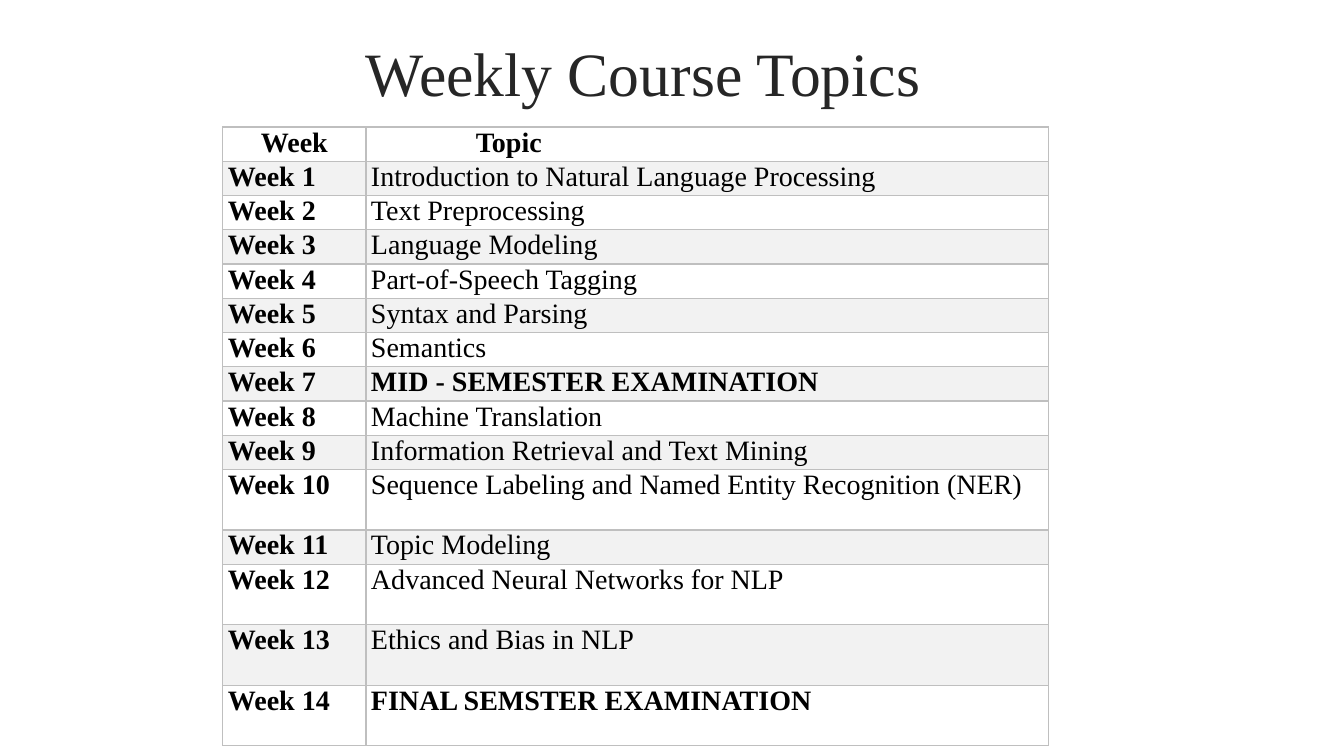
from lxml import etree
from pptx import Presentation
from pptx.dml.color import RGBColor
from pptx.enum import text
from pptx.oxml import ns
from pptx.util import Inches, Pt

FONT = "Times New Roman"
TITLE_COLOR = RGBColor(0x26, 0x26, 0x26)
BLACK = RGBColor(0, 0, 0)
BAND = RGBColor(0xF2, 0xF2, 0xF2)
BORDER = RGBColor(0xBF, 0xBF, 0xBF)

TOPICS = [
    "Introduction to Natural Language Processing",
    "Text Preprocessing",
    "Language Modeling",
    "Part-of-Speech Tagging",
    "Syntax and Parsing",
    "Semantics",
    "MID - SEMESTER EXAMINATION",
    "Machine Translation",
    "Information Retrieval and Text Mining",
    "Sequence Labeling and Named Entity Recognition (NER)",
    "Topic Modeling",
    "Advanced Neural Networks for NLP",
    "Ethics and Bias in NLP",
    "FINAL SEMSTER EXAMINATION",
]
TALL_WEEKS = {10, 12, 13, 14}


def format_text(paragraph, size, color, bold=False):
    for run in paragraph.runs:
        run.font.name = FONT
        run.font.size = Pt(size)
        run.font.bold = bold
        run.font.color.rgb = color


def add_title(slide, wording):
    title = slide.shapes.title
    title.left, title.top = Inches(1.13), Inches(0)
    title.width, title.height = Inches(10.5), Inches(1.43)
    title.text_frame.text = wording
    title.text_frame.vertical_anchor = text.MSO_ANCHOR.MIDDLE
    heading = title.text_frame.paragraphs[0]
    heading.alignment = text.PP_ALIGN.CENTER
    format_text(heading, 44, TITLE_COLOR)


def set_borders(cell):
    properties = cell._tc.get_or_add_tcPr()
    for position, side in enumerate(("lnL", "lnR", "lnT", "lnB")):
        line = etree.Element(ns.qn(f"a:{side}"), w=str(Pt(1)))
        fill = etree.SubElement(line, ns.qn("a:solidFill"))
        etree.SubElement(fill, ns.qn("a:srgbClr"), val=str(BORDER))
        properties.insert(position, line)


def fill_cell(cell, wording, bold, banded):
    cell.margin_left = cell.margin_right = Inches(0.05)
    cell.margin_top = cell.margin_bottom = 0
    cell.text_frame.text = wording
    format_text(cell.text_frame.paragraphs[0], 20, BLACK, bold)
    if banded:
        cell.fill.solid()
        cell.fill.fore_color.rgb = BAND
    else:
        cell.fill.background()
    set_borders(cell)


def add_schedule(slide):
    frame = slide.shapes.add_table(len(TOPICS) + 1, 2, Inches(2.21),
                                   Inches(1.26), Inches(8.19), Inches(6.12))
    schedule = frame.table
    schedule.columns[0].width = Inches(1.42)
    schedule.columns[1].width = Inches(6.77)

    entries = [("Week", "Topic")]
    entries += [(f"Week {week}", topic) for week, topic in enumerate(TOPICS, 1)]
    for week, (label, topic) in enumerate(entries):
        schedule.rows[week].height = Inches(0.6 if week in TALL_WEEKS else 0.34)
        banded = week % 2 == 1
        fill_cell(schedule.cell(week, 0), label, True, banded)
        topic_bold = week == 0 or topic.isupper()
        fill_cell(schedule.cell(week, 1), topic, topic_bold, banded)

    week_heading = schedule.cell(0, 0).text_frame.paragraphs[0]
    week_heading.alignment = text.PP_ALIGN.CENTER
    schedule.cell(0, 1).margin_left = Inches(1.09)


def main():
    deck = Presentation()
    deck.slide_width, deck.slide_height = Inches(13.33), Inches(7.5)
    slide = deck.slides.add_slide(deck.slide_layouts[5])
    add_title(slide, "Weekly Course Topics")
    add_schedule(slide)
    deck.save("out.pptx")


if __name__ == "__main__":
    main()
